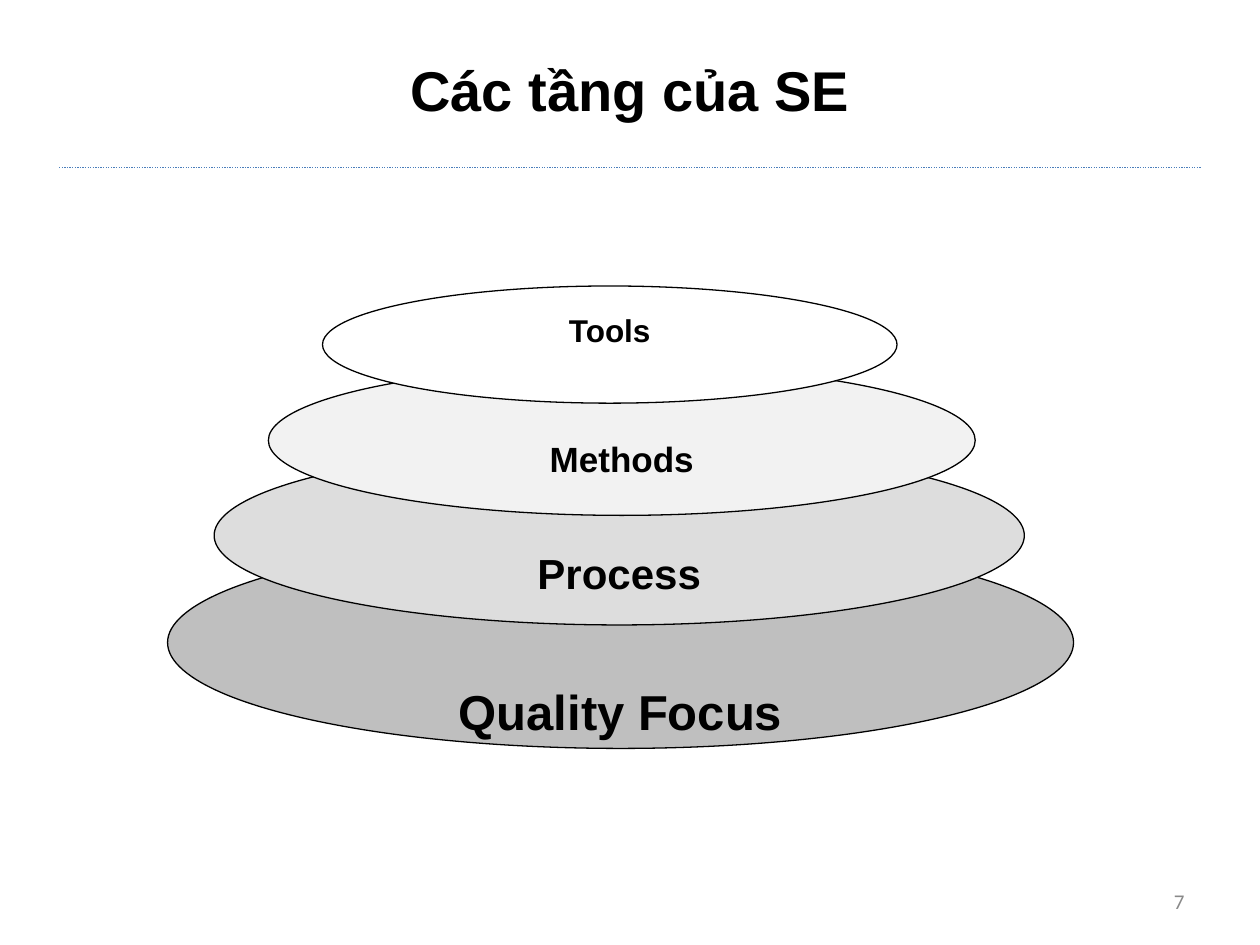
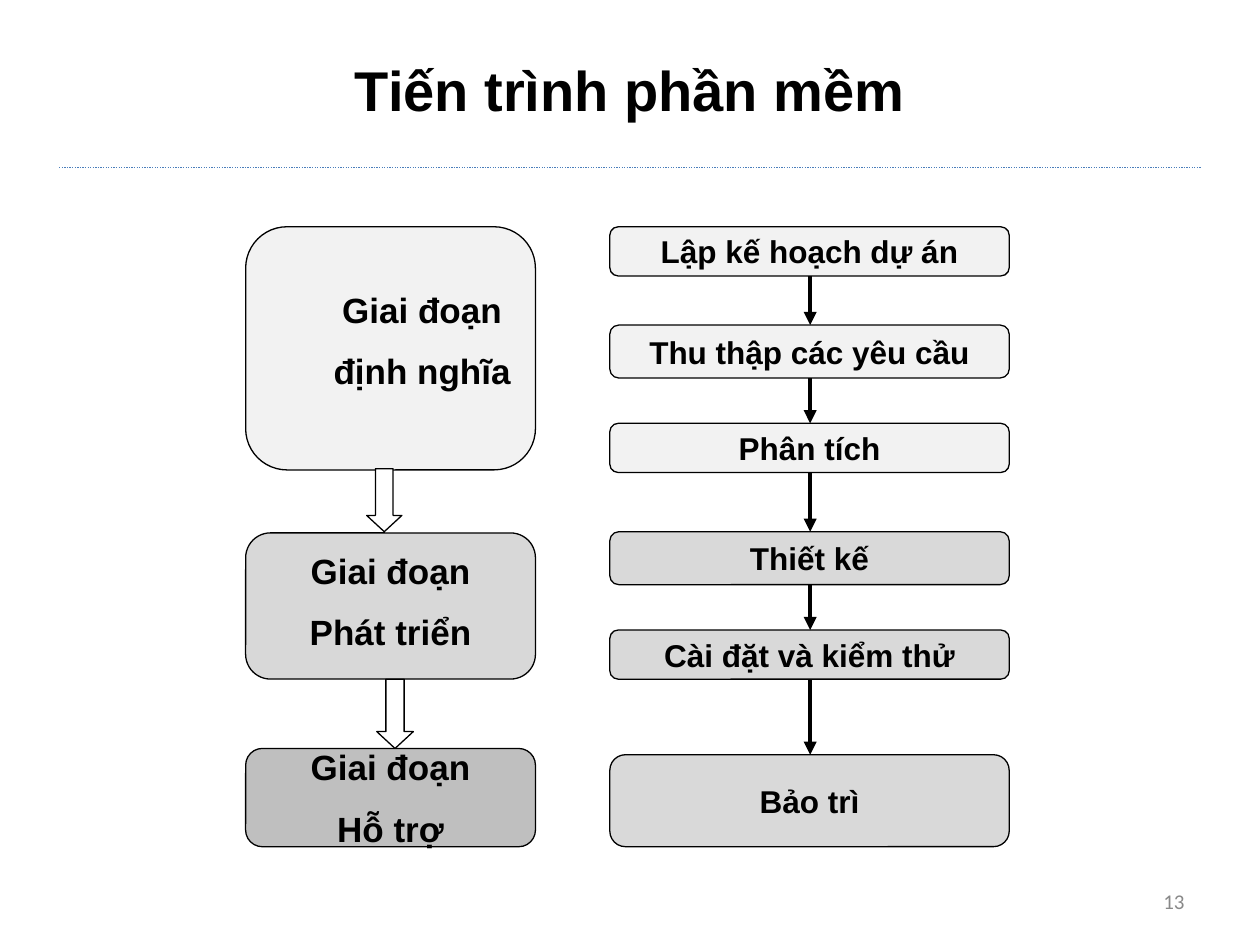
"""Build two slides: the layers of software engineering and the software process."""
from dataclasses import dataclass
from itertools import pairwise

import pptx
import pptx.dml.color
import pptx.enum.dml
import pptx.enum.shapes
import pptx.enum.text
import pptx.oxml
import pptx.oxml.ns
import pptx.util

Inches = pptx.util.Inches
Pt = pptx.util.Pt
Form = pptx.enum.shapes.MSO_SHAPE
Align = pptx.enum.text.PP_ALIGN
Anchor = pptx.enum.text.MSO_ANCHOR


@dataclass(frozen=True)
class Theme:
    font: str = "Arial"
    foot_font: str = "Calibri"
    ink: str = "000000"
    rule: str = "4A7EBB"
    foot: str = "898989"
    white: str = "FFFFFF"
    pale: str = "F2F2F2"
    light: str = "DDDDDD"
    mid: str = "D8D8D8"
    soft: str = "D9D9D9"
    dark: str = "BFBFBF"
    title_size: int = 32
    phase_size: int = 20
    step_size: int = 18
    foot_size: int = 12
    layer_sizes: tuple = (28, 24, 20, 18)
    thin: float = 0.75
    thick: float = 2.5
    gap: int = 11
    inset: tuple = (0.1, 0.05, 0.1, 0.05)
    tight: tuple = (0.06, 0.01, 0.06, 0.01)


def paint(color):
    return pptx.dml.color.RGBColor.from_string(color)


def node(tag, extra=""):
    return pptx.oxml.parse_xml(f"<a:{tag} {pptx.oxml.ns.nsdecls('a')} {extra}/>")


class Deck:
    def __init__(self, theme):
        self.theme = theme
        self.show = pptx.Presentation()
        self.show.slide_width, self.show.slide_height = Inches(10), Inches(7.5)
        self.slide = None

    def page(self, title, number):
        theme = self.theme
        self.slide = self.show.slides.add_slide(self.show.slide_layouts[6])
        rule = self.line((0.47, 1.33), (9.53, 1.33), theme.rule, theme.thin)
        rule.line.dash_style = pptx.enum.dml.MSO_LINE.ROUND_DOT
        self.label((0.5, 0.23, 9, 0.95), title, theme.title_size)
        self.label((7.17, 6.95, 2.33, 0.4), number, theme.foot_size,
                   align=Align.RIGHT, font=theme.foot_font, color=theme.foot, bold=False)

    def label(self, area, text, size, **style):
        box = self.slide.shapes.add_textbox(*map(Inches, area))
        self.letter(box, text, size, **style)

    def letter(self, shape, text, size, inset=None, anchor=Anchor.MIDDLE,
               align=Align.CENTER, font=None, color=None, bold=True):
        frame = shape.text_frame
        frame.text = text
        frame.word_wrap = True
        frame.vertical_anchor = anchor
        left, top, right, bottom = map(Inches, inset or self.theme.inset)
        frame.margin_left, frame.margin_top = left, top
        frame.margin_right, frame.margin_bottom = right, bottom
        for part in frame.paragraphs:
            part.alignment = align
            for run in part.runs:
                run.font.name = font or self.theme.font
                run.font.size = Pt(size)
                run.font.bold = bold
                run.font.color.rgb = paint(color or self.theme.ink)
        for part in frame.paragraphs[:-1]:
            part.space_after = Pt(self.theme.gap)

    def shape(self, form, area, fill, adjust=()):
        shape = self.slide.shapes.add_shape(form, *map(Inches, area))
        shape.shadow.inherit = False
        shape.fill.solid()
        shape.fill.fore_color.rgb = paint(fill)
        shape.line.color.rgb = paint(self.theme.ink)
        shape.line.width = Pt(self.theme.thin)
        for index, value in enumerate(adjust):
            shape.adjustments[index] = value
        return shape

    def line(self, start, end, color, width):
        line = self.slide.shapes.add_connector(
            pptx.enum.shapes.MSO_CONNECTOR.STRAIGHT, *map(Inches, start + end))
        line.line.color.rgb = paint(color)
        line.line.width = Pt(width)
        line._element.spPr.append(node("effectLst"))
        return line

    def arrow(self, start, end):
        line = self.line(start, end, self.theme.ink, self.theme.thick)
        line.get_or_add_ln().append(node("tailEnd", 'type="triangle"'))


def layers(deck):
    theme = deck.theme
    deck.page("Các tầng của SE", "7")
    rows = (
        ("Quality Focus", (1.33, 4.26, 7.19, 1.68), theme.dark, 0.9),
        ("Process", (1.7, 3.54, 6.43, 1.42), theme.light, 0.6),
        ("Methods", (2.13, 2.9, 5.61, 1.19), theme.pale, 0.4),
        ("Tools", (2.56, 2.27, 4.56, 0.93), theme.white, 0.06),
    )
    for (name, area, fill, top), size in zip(rows, theme.layer_sizes):
        layer = deck.shape(Form.OVAL, area, fill)
        deck.letter(layer, name, size, (0.1, top, 0.1, 0), Anchor.TOP)


def process(deck):
    theme = deck.theme
    deck.page("Tiến trình phần mềm", "13")
    phases = (
        ("Giai đoạn\nđịnh nghĩa", 1.8, 1.93, theme.pale, (0.6, 0.39, 0.1, 0.05), Anchor.TOP),
        ("Giai đoạn\nPhát triển", 4.23, 1.16, theme.mid, (0.1, 0.07, 0.1, 0.05), Anchor.TOP),
        ("Giai đoạn\nHỗ trợ", 5.94, 0.78, theme.dark, theme.inset, Anchor.MIDDLE),
    )
    for name, top, height, fill, inset, anchor in phases:
        phase = deck.shape(Form.ROUNDED_RECTANGLE, (1.95, top, 2.3, height), fill, (0.17,))
        deck.letter(phase, name, theme.phase_size, inset, anchor)
    for area in ((2.91, 3.72, 0.28, 0.5), (2.99, 5.39, 0.29, 0.55)):
        deck.shape(Form.DOWN_ARROW, area, theme.white, (0.5, 0.46))

    steps = (
        ("Lập kế hoạch dự án", 1.8, 0.39, theme.pale),
        ("Thu thập các yêu cầu", 2.58, 0.42, theme.pale),
        ("Phân tích", 3.36, 0.39, theme.pale),
        ("Thiết kế", 4.22, 0.42, theme.soft),
        ("Cài đặt và kiểm thử", 5, 0.39, theme.soft),
        ("Bảo trì", 5.99, 0.73, theme.soft),
    )
    for name, top, height, fill in steps:
        step = deck.shape(Form.ROUNDED_RECTANGLE, (4.84, top, 3.17, height), fill, (0.17,))
        deck.letter(step, name, theme.step_size, theme.tight)
    for (_, top, height, _), (_, below, _, _) in pairwise(steps):
        deck.arrow((6.43, top + height), (6.43, below))


def main():
    deck = Deck(Theme())
    layers(deck)
    process(deck)
    deck.show.save("out.pptx")


if __name__ == "__main__":
    main()
